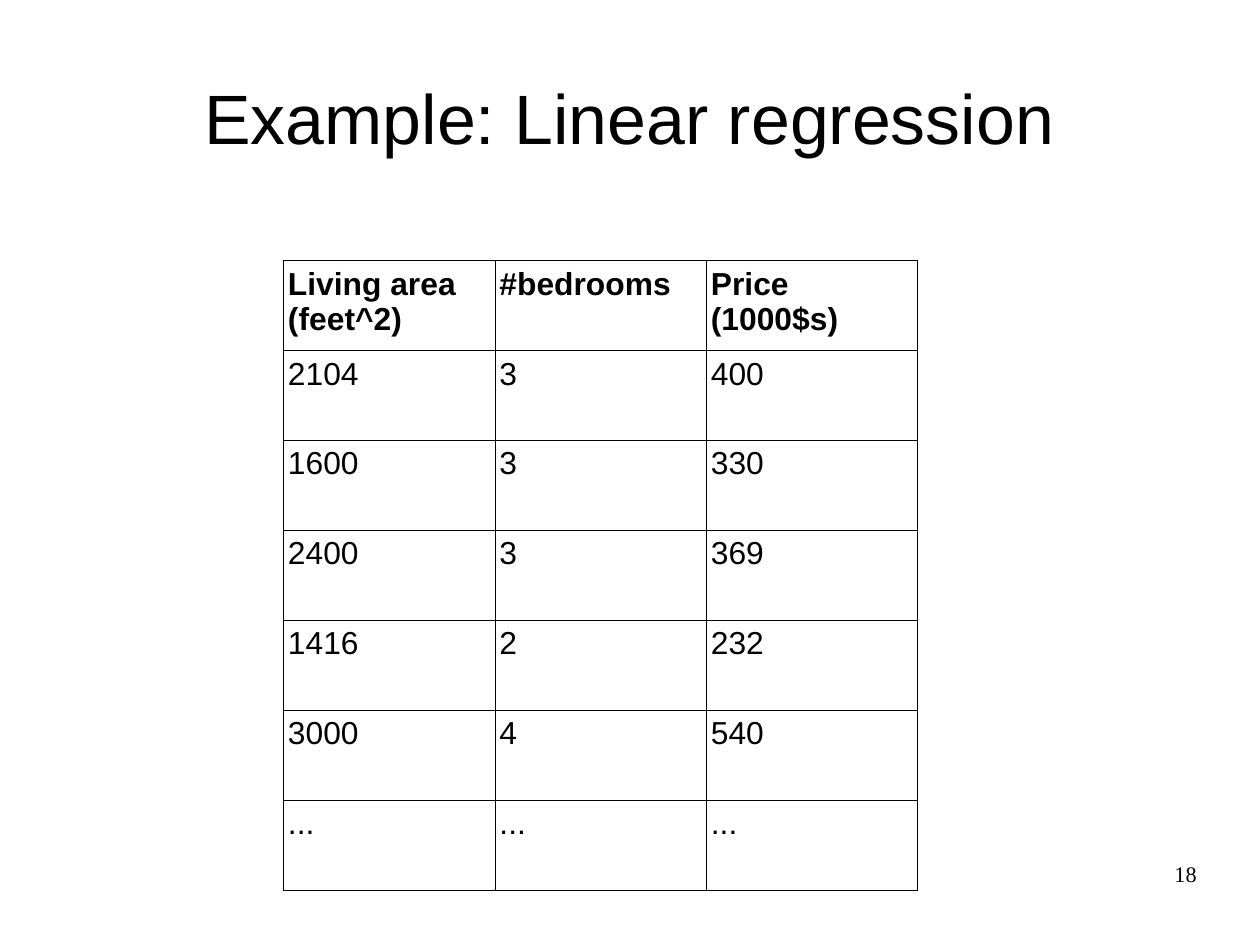
from dataclasses import dataclass
from typing import NamedTuple

from lxml.etree import SubElement
from pptx import Presentation
from pptx.dml.color import RGBColor
from pptx.enum.text import MSO_ANCHOR, PP_ALIGN
from pptx.oxml.ns import qn
from pptx.util import Inches, Pt


@dataclass(frozen=True)
class Theme:
    ink: str = "000000"
    paper: str = "FFFFFF"
    sans: str = "Arial"
    serif: str = "Times New Roman"
    title_size: int = 44
    table_size: int = 20
    number_size: int = 14
    border_width: float = 0.57


class Area(NamedTuple):
    left: float
    top: float
    width: float
    height: float


class House(NamedTuple):
    living_area: str
    bedrooms: str
    price: str


THEME = Theme()
CENTIMETRES_PER_INCH = 2.54
PAGE_WIDTH = 28 / CENTIMETRES_PER_INCH
PAGE_HEIGHT = 21 / CENTIMETRES_PER_INCH
TITLE_AREA = Area(0.55, 0.33, 9.92, 1.38)
TABLE_AREA = Area(2.48, 2.28, 5.55, 5.51)
NUMBER_AREA = Area(7.9, 7.53, 2.57, 0.57)
HEADINGS = House("Living area (feet^2)", "#bedrooms", "Price (1000$s)")
HOUSES = [
    House("2104", "3", "400"),
    House("1600", "3", "330"),
    House("2400", "3", "369"),
    House("1416", "2", "232"),
    House("3000", "4", "540"),
    House("...", "...", "..."),
]


def set_insets(holder, across: float = 0, down: float = 0) -> None:
    holder.margin_left = holder.margin_right = Inches(across)
    holder.margin_top = holder.margin_bottom = Inches(down)


def write_text(para, text: str, *, size: int, font: str = THEME.sans,
               bold: bool = False, align=PP_ALIGN.LEFT) -> None:
    para.alignment = align
    span = para.add_run()
    span.text = text
    span.font.name = font
    span.font.size = Pt(size)
    span.font.bold = bold
    span.font.color.rgb = RGBColor.from_string(THEME.ink)


def border_cell(cell) -> None:
    properties = cell._tc.get_or_add_tcPr()
    for side in ("a:lnL", "a:lnR", "a:lnT", "a:lnB"):
        line = SubElement(properties, qn(side), w=str(int(Pt(THEME.border_width))))
        fill = SubElement(line, qn("a:solidFill"))
        SubElement(fill, qn("a:srgbClr"), val=THEME.ink)


def add_title(page, text: str, area: Area) -> None:
    title = page.shapes.title
    title.left, title.top, title.width, title.height = map(Inches, area)
    frame = title.text_frame
    frame.word_wrap = True
    frame.vertical_anchor = MSO_ANCHOR.MIDDLE
    set_insets(frame)
    write_text(frame.paragraphs[0], text, size=THEME.title_size,
               align=PP_ALIGN.CENTER)


def add_house_table(page, rows: list[House], area: Area) -> None:
    table = page.shapes.add_table(
        len(rows), len(HEADINGS), *map(Inches, area)).table
    table.first_row = False
    table.horz_banding = False
    for row_index, house in enumerate(rows):
        for column_index, text in enumerate(house):
            cell = table.cell(row_index, column_index)
            set_insets(cell, across=0.04, down=0.05)
            write_text(cell.text_frame.paragraphs[0], text,
                       size=THEME.table_size, bold=row_index == 0)
            border_cell(cell)
            cell.fill.background()


def add_page_number(page, text: str, area: Area) -> None:
    frame = page.shapes.add_textbox(*map(Inches, area)).text_frame
    frame.word_wrap = True
    set_insets(frame)
    write_text(frame.paragraphs[0], text, size=THEME.number_size,
               font=THEME.serif, align=PP_ALIGN.RIGHT)


def main() -> None:
    deck = Presentation()
    deck.slide_width = Inches(PAGE_WIDTH)
    deck.slide_height = Inches(PAGE_HEIGHT)
    page = deck.slides.add_slide(deck.slide_layouts.get_by_name("Title Only"))
    page.background.fill.solid()
    page.background.fill.fore_color.rgb = RGBColor.from_string(THEME.paper)
    add_title(page, "Example: Linear regression", TITLE_AREA)
    add_house_table(page, [HEADINGS, *HOUSES], TABLE_AREA)
    add_page_number(page, "18", NUMBER_AREA)
    deck.save("out.pptx")


if __name__ == "__main__":
    main()
